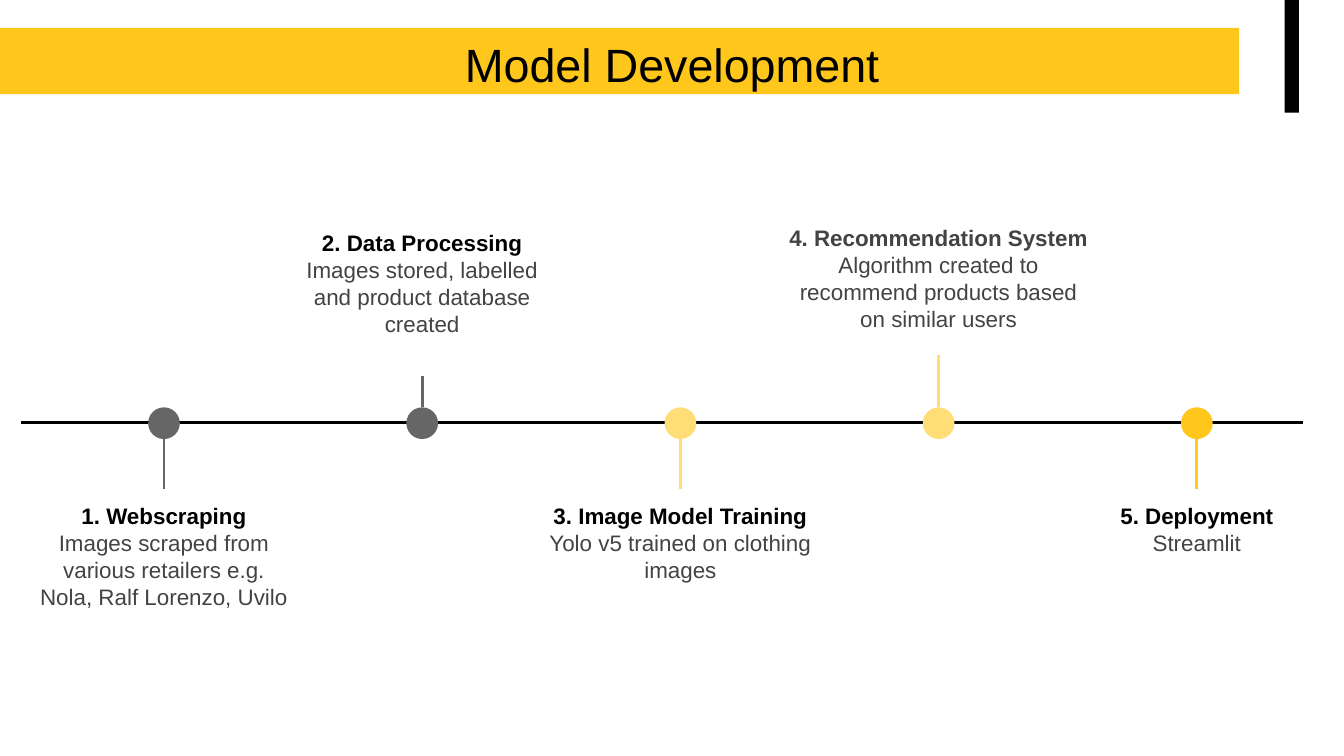
import pptx
import pptx.util
import pptx.dml.color
import pptx.enum.shapes
import pptx.enum.text
import pptx.oxml.ns
import lxml.etree

Cm = pptx.util.Cm
Pt = pptx.util.Pt
RGBColor = pptx.dml.color.RGBColor
Shape = pptx.enum.shapes.MSO_SHAPE
Align = pptx.enum.text.PP_ALIGN
Anchor = pptx.enum.text.MSO_ANCHOR

BLACK = RGBColor(0x00, 0x00, 0x00)
TEXT_GREY = RGBColor(0x43, 0x43, 0x43)
GREY = RGBColor(0x66, 0x66, 0x66)
YELLOW = RGBColor(0xFF, 0xC7, 0x1C)
PALE_YELLOW = RGBColor(0xFF, 0xDD, 0x77)

# Timeline geometry in centimetres
AXIS_Y = 7.98
DOT_SIZE = 0.6
DOT_TOP = 7.7
FIRST_DOT_X = 3.1
DOT_STEP = 4.88
BELOW_TOP = 9.24

# Heading, heading colour, text, dot colour, label top, width, height
STEPS = [
    ("1. Webscraping", BLACK,
     "Images scraped from various retailers e.g. Nola, Ralf Lorenzo, Uvilo",
     GREY, BELOW_TOP, 5.38, 2.82),
    ("2. Data Processing", BLACK,
     "Images stored, labelled and product database created",
     GREY, 4.09, 5.38, 3.01),
    ("3. Image Model Training", BLACK,
     "Yolo v5 trained on clothing images",
     PALE_YELLOW, BELOW_TOP, 5.87, 2.26),
    ("4. Recommendation System", TEXT_GREY,
     "Algorithm created to recommend products based on similar users",
     PALE_YELLOW, 3.99, 6.3, 2.72),
    ("5. Deployment", BLACK, "Streamlit",
     YELLOW, BELOW_TOP, 5.38, 2.06),
]


class SlideBuilder:
    font_name = "Arial"
    inset = Cm(0.25)
    line_width = Pt(1.5)

    def __init__(self, page):
        self.page = page

    def set_margins(self, frame):
        frame.word_wrap = True
        frame.margin_left = frame.margin_right = self.inset
        frame.margin_top = frame.margin_bottom = self.inset

    def add_text(self, para, text, size, color, bold=False):
        para.alignment = Align.CENTER
        span = para.add_run()
        span.text = text
        span.font.name = self.font_name
        span.font.size = Pt(size)
        span.font.bold = bold
        span.font.color.rgb = color

    def title(self, text, left, top, width, height):
        box = self.page.shapes.title
        box.left, box.top = Cm(left), Cm(top)
        box.width, box.height = Cm(width), Cm(height)
        frame = box.text_frame
        self.set_margins(frame)
        frame.auto_size = pptx.enum.text.MSO_AUTO_SIZE.NONE
        frame.vertical_anchor = Anchor.MIDDLE
        self.add_text(frame.paragraphs[0], text, 25, BLACK)
        # Bring the title in front of the band
        self.page.shapes._spTree.append(box._element)

    def shape(self, kind, left, top, width, height, color):
        shape = self.page.shapes.add_shape(
            kind, Cm(left), Cm(top), Cm(width), Cm(height))
        shape.shadow.inherit = False
        shape.fill.solid()
        shape.fill.fore_color.rgb = color
        shape.line.fill.background()
        return shape

    def line(self, x1, y1, x2, y2, color):
        line = self.page.shapes.add_connector(
            pptx.enum.shapes.MSO_CONNECTOR.STRAIGHT,
            Cm(x1), Cm(y1), Cm(x2), Cm(y2))
        line.line.color.rgb = color
        line.line.width = self.line_width
        lxml.etree.SubElement(
            line._element.spPr, pptx.oxml.ns.qn("a:effectLst"))
        return line

    def label(self, heading, heading_color, text, left, top, width, height):
        box = self.page.shapes.add_textbox(
            Cm(left), Cm(top), Cm(width), Cm(height))
        frame = box.text_frame
        self.set_margins(frame)
        self.add_text(frame.paragraphs[0], heading, 12, heading_color, bold=True)
        self.add_text(frame.add_paragraph(), text, 12, TEXT_GREY)
        return box

    def step(self, center, heading, heading_color, text, color,
             top, width, height):
        box = self.label(heading, heading_color, text,
                         center - width / 2, top, width, height)
        dot = self.shape(Shape.OVAL, center - DOT_SIZE / 2, DOT_TOP,
                         DOT_SIZE, DOT_SIZE, color)
        if top < AXIS_Y:
            stem = self.line(center, DOT_TOP, center, top + height, color)
            stem.begin_connect(dot, 0)
            stem.end_connect(box, 2)
        else:
            stem = self.line(center, DOT_TOP + DOT_SIZE, center, top, color)
            stem.end_connect(box, 0)


def main():
    deck = pptx.Presentation()
    deck.slide_width, deck.slide_height = Cm(25.4), Cm(14.29)
    builder = SlideBuilder(deck.slides.add_slide(deck.slide_layouts[5]))

    # Header band, corner bar and title
    builder.shape(Shape.RECTANGLE, 0, 0.53, 23.42, 1.25, YELLOW)
    builder.shape(Shape.RECTANGLE, 24.28, 0, 0.27, 2.13, BLACK)
    builder.title("Model Development", 1.98, 0.53, 21.44, 1.37)

    # Timeline axis with its steps
    builder.line(0.4, AXIS_Y, 24.62, AXIS_Y, BLACK)
    for index, step in enumerate(STEPS):
        builder.step(FIRST_DOT_X + index * DOT_STEP, *step)

    deck.save("out.pptx")


if __name__ == "__main__":
    main()
